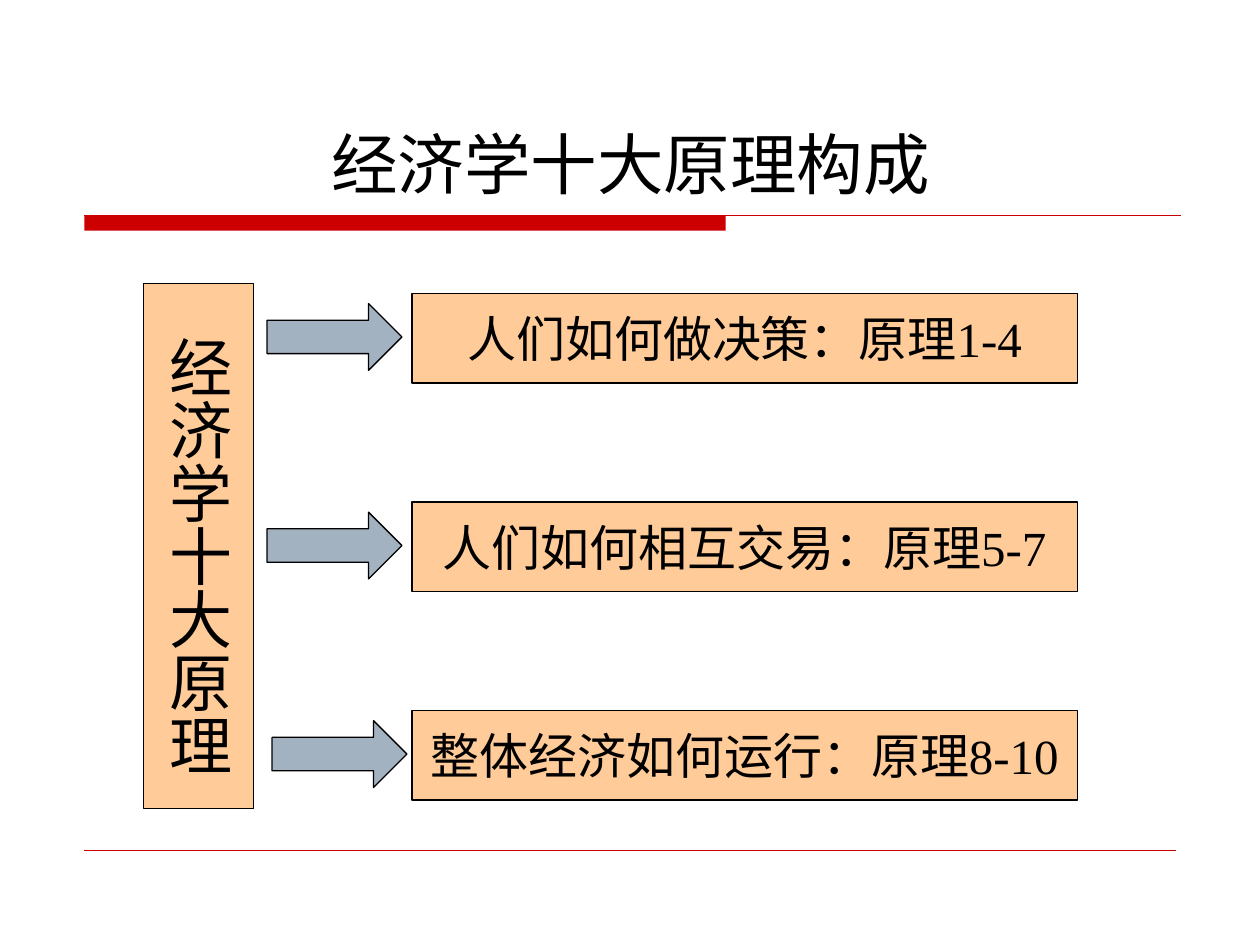
from pptx import Presentation
from pptx.dml.color import RGBColor
from pptx.enum.shapes import MSO_CONNECTOR, MSO_SHAPE
from pptx.enum.text import MSO_ANCHOR, PP_ALIGN
from pptx.oxml import parse_xml
from pptx.oxml.ns import nsdecls
from pptx.util import Inches, Pt

COLORS = {"red": "CC0000", "peach": "FFCC99", "steel": "A3B2C1", "black": "000000"}
SANS, SERIF = "DejaVu Sans", "Times New Roman"


def add_block(kind, left, top, width, height, fill):
    shape = slide.shapes.add_shape(kind, Inches(left), Inches(top), Inches(width), Inches(height))
    shape.shadow.inherit = False
    shape.fill.solid()
    shape.fill.fore_color.rgb = RGBColor.from_string(COLORS[fill])
    shape.line.color.rgb = RGBColor.from_string(COLORS["black"])
    shape.line.width = Pt(0.75)
    return shape


def write_text(shape, runs, size, alignment, frame_format):
    frame = shape.text_frame
    for name, value in frame_format.items():
        setattr(frame, name, value)
    paragraph = frame.paragraphs[0]
    paragraph.alignment = alignment
    for text, font_name in runs:
        run = paragraph.add_run()
        run.text = text
        for name, value in {"name": font_name, "size": Pt(size)}.items():
            setattr(run.font, name, value)
        run.font.color.rgb = RGBColor.from_string(COLORS["black"])


presentation = Presentation()
presentation.slide_width = Inches(10)
presentation.slide_height = Inches(7.5)
slide = presentation.slides.add_slide(presentation.slide_layouts[6])

title_bar = add_block(MSO_SHAPE.RECTANGLE, 0.67, 1.71, 5.09, 0.12, "red")
title_bar.line.fill.background()

for right, top, width in [(9.37, 1.71, 0.75), (9.33, 6.75, 0.25)]:
    rule = slide.shapes.add_connector(
        MSO_CONNECTOR.STRAIGHT, Inches(0.67), Inches(top), Inches(right), Inches(top)
    )
    rule.line.color.rgb = RGBColor.from_string(COLORS["red"])
    rule.line.width = Pt(width)
    rule._element.spPr.append(parse_xml(f"<a:effectLst {nsdecls('a')}/>"))

title = slide.shapes.add_textbox(Inches(0.63), Inches(0.33), Inches(8.75), Inches(1.33))
write_text(title, [("经济学十大原理构成", SERIF)], 38, PP_ALIGN.CENTER,
           {"word_wrap": True, "vertical_anchor": MSO_ANCHOR.BOTTOM})

topic = add_block(MSO_SHAPE.RECTANGLE, 1.14, 2.25, 0.87, 4.17, "peach")
write_text(topic, [("经济学十大原理", SANS)], 36, PP_ALIGN.LEFT, {
    "word_wrap": True,
    "vertical_anchor": MSO_ANCHOR.MIDDLE,
    "margin_left": Inches(0.05),
    "margin_right": Inches(0.05),
    "margin_top": Inches(0.42),
    "margin_bottom": Inches(0.1),
})
topic.text_frame._txBody.bodyPr.set("vert", "eaVert")

groups = [
    ("人们如何做决策：原理", "1-4", 2.12),
    ("人们如何相互交易：原理", "5-7", 2.12),
    ("整体经济如何运行：原理", "8-10", 2.16),
]
for index, (label, numbers, arrow_left) in enumerate(groups):
    top = 2.33 + 1.655 * index
    group_box = add_block(MSO_SHAPE.RECTANGLE, 3.27, top, 5.28, 0.71, "peach")
    write_text(group_box, [(label, SANS), (numbers, SERIF)], 28, PP_ALIGN.CENTER,
               {"word_wrap": True, "vertical_anchor": MSO_ANCHOR.MIDDLE})
    add_block(MSO_SHAPE.RIGHT_ARROW, arrow_left, top + 0.08, 1.07, 0.53, "steel")

presentation.save("out.pptx")
